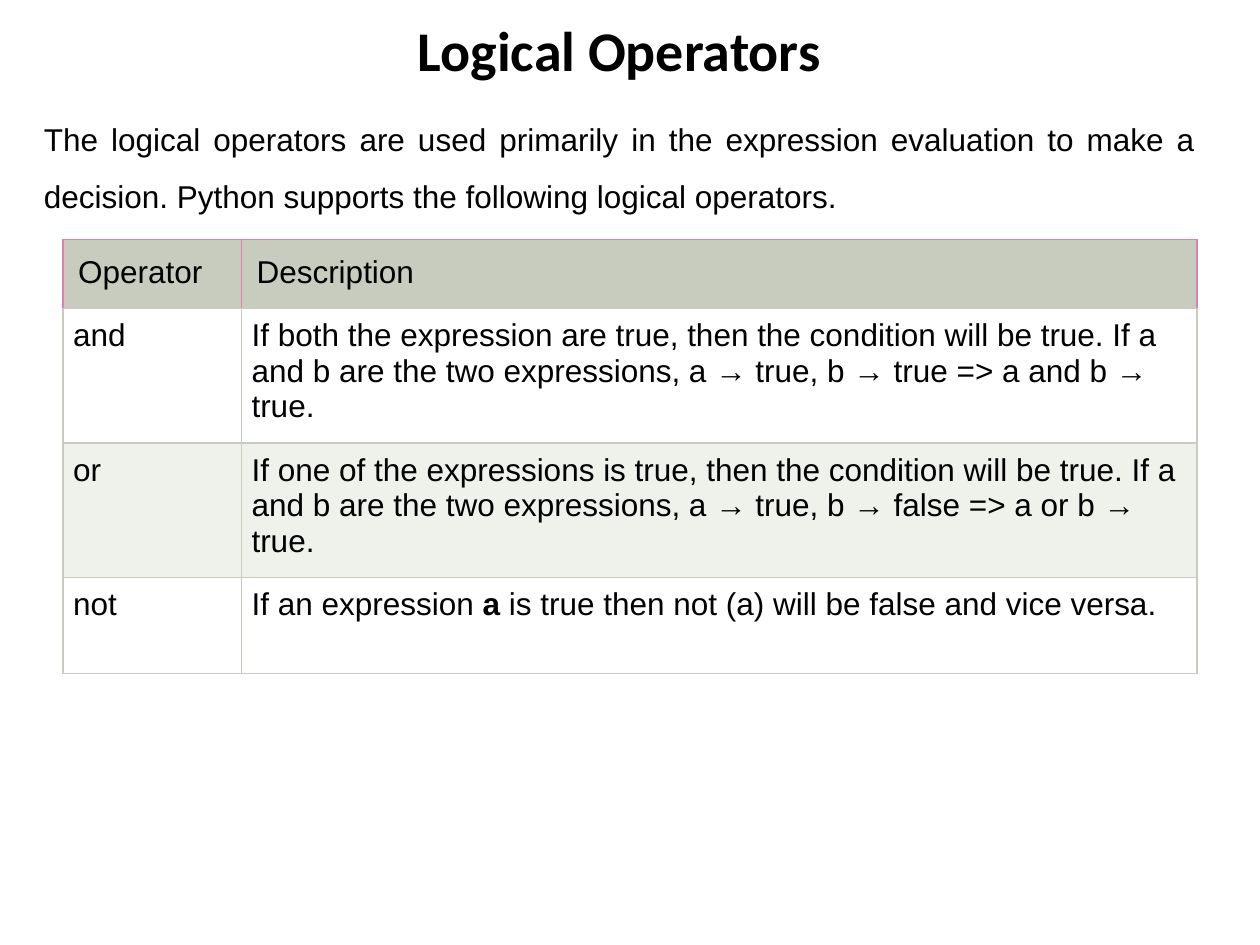
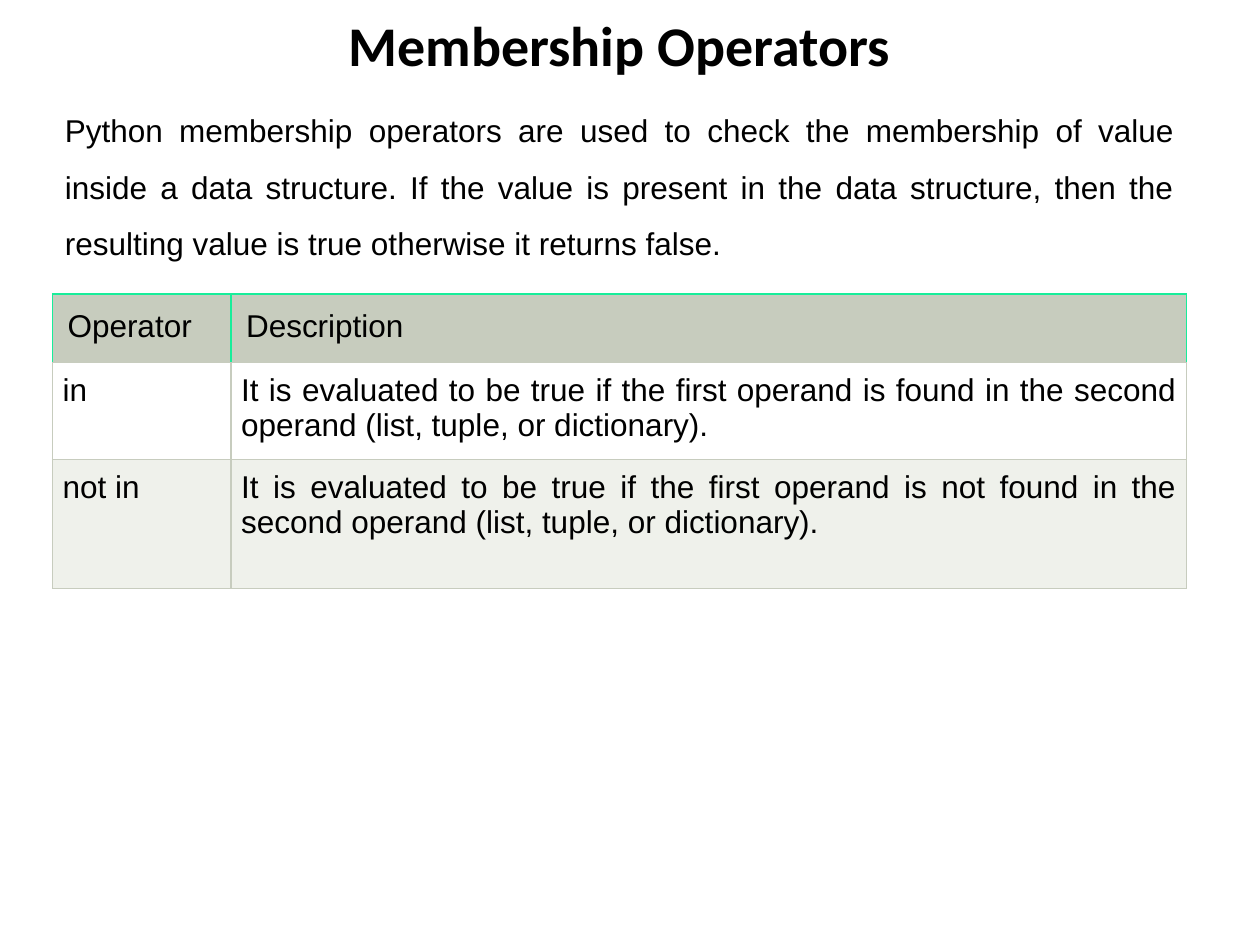
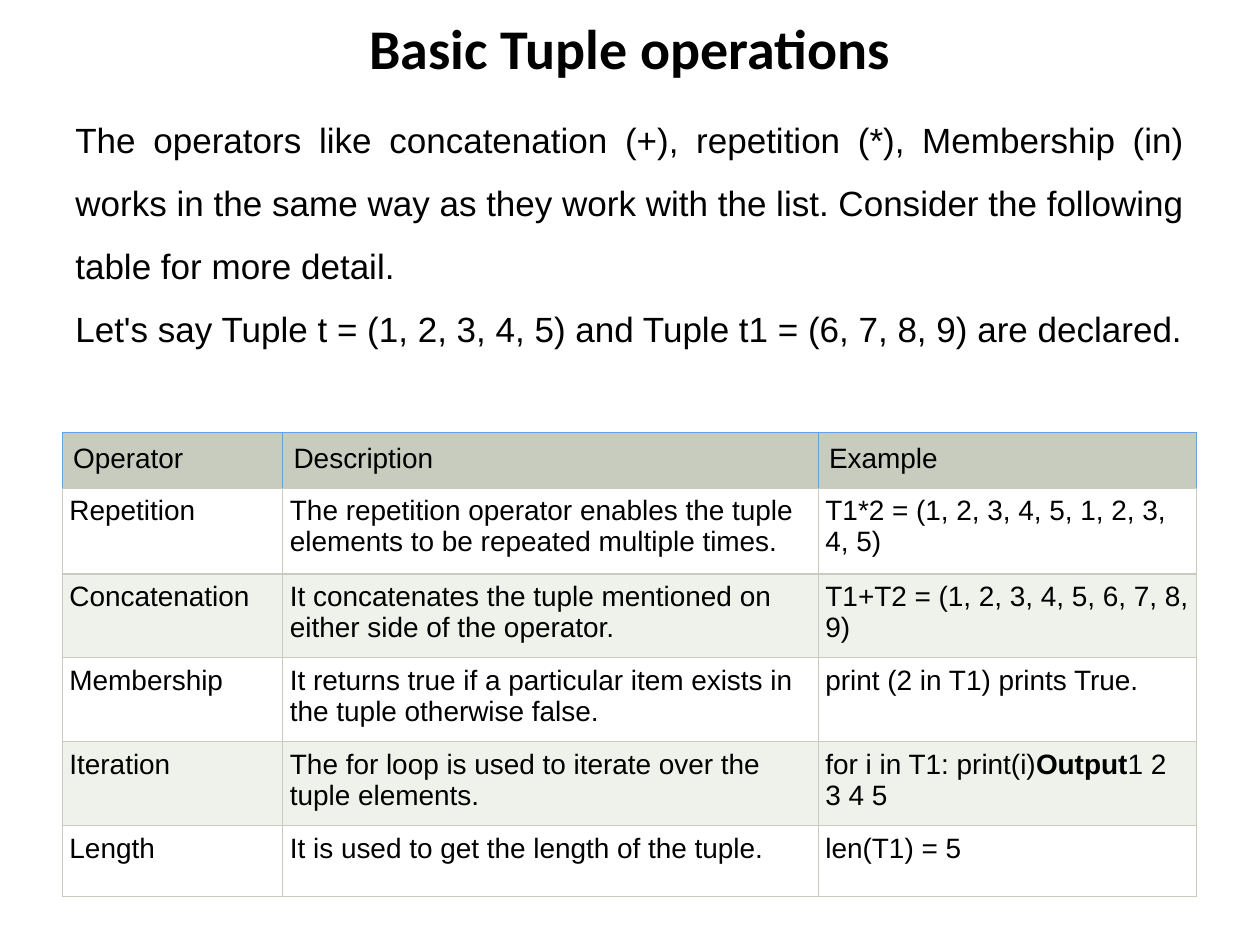
from dataclasses import dataclass
from itertools import cycle

from lxml.etree import SubElement
from pptx import Presentation
from pptx.dml.color import RGBColor as RGB
from pptx.enum.text import MSO_ANCHOR as Anchor, MSO_AUTO_SIZE as AutoSize, PP_ALIGN as Align
from pptx.oxml.ns import qn
from pptx.util import Pt


@dataclass(frozen=True)
class Theme:
    text: str = "000000"
    header: str = "C7CCBE"
    grid: str = "C7CCBE"
    bands: tuple = ("FFFFFF", "EFF1EB")
    title_font: str = "Calibri"
    body_font: str = "Arial"
    title_size: float = 32
    body_size: float = 18
    large_size: float = 20
    small_size: float = 16
    border: float = 0.75
    line_spacing: float = 1.5


THEME = Theme()
TITLE_SIZE = (648, 50.4)
TABLE_WIDTH = 648


# Text
def set_attrs(target, values):
    for name, value in values.items():
        setattr(target, name, value)


def add_run(p, text, size, font=THEME.body_font, bold=False):
    r = p.add_run()
    r.text = text
    set_attrs(r.font, dict(name=font, size=Pt(size), bold=bold))
    r.font.color.rgb = RGB.from_string(THEME.text)


def add_marked_text(p, text, size):
    """Parts between bars are bold."""
    for i, part in enumerate(text.split("|")):
        add_run(p, part, size, bold=i % 2 == 1)


def set_title(slide, text, left, top):
    sp = slide.shapes.title
    width, height = TITLE_SIZE
    set_attrs(sp, dict(left=Pt(left), top=Pt(top), width=Pt(width), height=Pt(height)))
    tf = sp.text_frame
    tf.vertical_anchor = Anchor.MIDDLE
    p = tf.paragraphs[0]
    p.alignment = Align.CENTER
    add_run(p, text, THEME.title_size, THEME.title_font, bold=True)


def add_intro(slide, paragraphs, box, size=THEME.body_size):
    tf = slide.shapes.add_textbox(*map(Pt, box)).text_frame
    set_attrs(tf, dict(word_wrap=True, auto_size=AutoSize.SHAPE_TO_FIT_TEXT))
    for i, text in enumerate(paragraphs):
        p = tf.add_paragraph() if i else tf.paragraphs[0]
        set_attrs(p, dict(alignment=Align.JUSTIFY, line_spacing=THEME.line_spacing))
        add_run(p, text, size)


# Table
def set_borders(cell, colors):
    tc_pr = cell._tc.get_or_add_tcPr()
    for side, color in zip("LRTB", colors):
        ln = SubElement(tc_pr, qn(f"a:ln{side}"), w=str(Pt(THEME.border)))
        fill = SubElement(ln, qn("a:solidFill"))
        SubElement(fill, qn("a:srgbClr"), val=color)


def format_cell(cell, text, size, inset, fill, edge, align):
    set_borders(cell, (edge, edge, edge, THEME.grid))
    cell.fill.solid()
    cell.fill.fore_color.rgb = RGB.from_string(fill)
    sides = ("left", "right", "top", "bottom")
    set_attrs(cell, {f"margin_{side}": Pt(inset) for side in sides})
    p = cell.text_frame.paragraphs[0]
    p.alignment = align
    add_marked_text(p, text, size)


def add_operator_table(slide, rows, left, top, widths, heights, edge,
                       size=THEME.body_size, insets=(8.64, 5.76), align=Align.LEFT):
    table = slide.shapes.add_table(len(rows), len(widths), Pt(left), Pt(top),
                                   Pt(TABLE_WIDTH), Pt(sum(heights))).table
    set_attrs(table, dict(first_row=False, horz_banding=False))
    for column, width in zip(table.columns, widths):
        column.width = Pt(width)
    for row, height in zip(table.rows, heights):
        row.height = Pt(height)

    header_inset, body_inset = insets
    bands = cycle(THEME.bands)
    for r, texts in enumerate(rows):
        if r == 0:
            look = dict(inset=header_inset, fill=THEME.header, edge=edge)
        else:
            look = dict(inset=body_inset, fill=next(bands), edge=THEME.grid)
        for c, text in enumerate(texts):
            format_cell(table.cell(r, c), text, size, align=align, **look)


# Slides
def add_logical_operators(slide):
    set_title(slide, "Logical Operators", 30, 3)
    add_intro(slide, [
        "The logical operators are used primarily in the expression evaluation to make a "
        "decision. Python supports the following logical operators.",
    ], (18, 54.5, 672, 68.5))
    add_operator_table(slide, [
        ("Operator", "Description"),
        ("and", "If both the expression are true, then the condition will be true. If a and b "
                "are the two expressions, a → true, b → true => a and b → true."),
        ("or", "If one of the expressions is true, then the condition will be true. If a and b "
               "are the two expressions, a → true, b → false => a or b → true."),
        ("not", "If an expression |a| is true then not (a) will be false and vice versa."),
    ], 36, 136.8, (102, 546), (39.4, 77, 76.6, 55), edge="E07FAD")


def add_membership_operators(slide):
    set_title(slide, "Membership Operators", 30, 0)
    add_intro(slide, [
        "Python membership operators are used to check the membership of value inside a data "
        "structure. If the value is present in the data structure, then the resulting value "
        "is true otherwise it returns false.",
    ], (30, 49, 648, 101.5))
    add_operator_table(slide, [
        ("Operator", "Description"),
        ("in", "It is evaluated to be true if the first operand is found in the second operand "
               "(list, tuple, or dictionary)."),
        ("not in", "It is evaluated to be true if the first operand is not found in the second "
                   "operand (list, tuple, or dictionary)."),
    ], 30, 168, (102, 546), (39.4, 55.2, 73.6), edge="18ED9A", align=Align.JUSTIFY)


def add_tuple_operations(slide):
    set_title(slide, "Basic Tuple operations", 36, 1.5)
    add_intro(slide, [
        "The operators like concatenation (+), repetition (*), Membership (in) works in the "
        "same way as they work with the list. Consider the following table for more detail.",
        "Let's say Tuple t = (1, 2, 3, 4, 5) and Tuple t1 = (6, 7, 8, 9) are declared.",
    ], (36, 52, 648, 148.5), THEME.large_size)
    add_operator_table(slide, [
        ("Operator", "Description", "Example"),
        ("Repetition",
         "The repetition operator enables the tuple elements to be repeated multiple times.",
         "T1*2 = (1, 2, 3, 4, 5, 1, 2, 3, 4, 5)"),
        ("Concatenation",
         "It concatenates the tuple mentioned on either side of the operator.",
         "T1+T2 = (1, 2, 3, 4, 5, 6, 7, 8, 9)"),
        ("Membership",
         "It returns true if a particular item exists in the tuple otherwise false.",
         "print (2 in T1) prints True."),
        ("Iteration",
         "The for loop is used to iterate over the tuple elements.",
         "for i in T1: print(i)|Output|1 2 3 4 5"),
        ("Length", "It is used to get the length of the tuple.", "len(T1) = 5"),
    ], 35.5, 247, (126, 306, 216), (32, 49, 48, 48, 48, 40.6), edge="68A1E3",
        size=THEME.small_size, insets=(6.3, 4.2))


def main():
    prs = Presentation()
    set_attrs(prs, dict(slide_width=Pt(720), slide_height=Pt(540)))
    title_only = prs.slide_layouts[5]
    for build in (add_logical_operators, add_membership_operators, add_tuple_operations):
        build(prs.slides.add_slide(title_only))
    prs.save("out.pptx")


if __name__ == "__main__":
    main()
